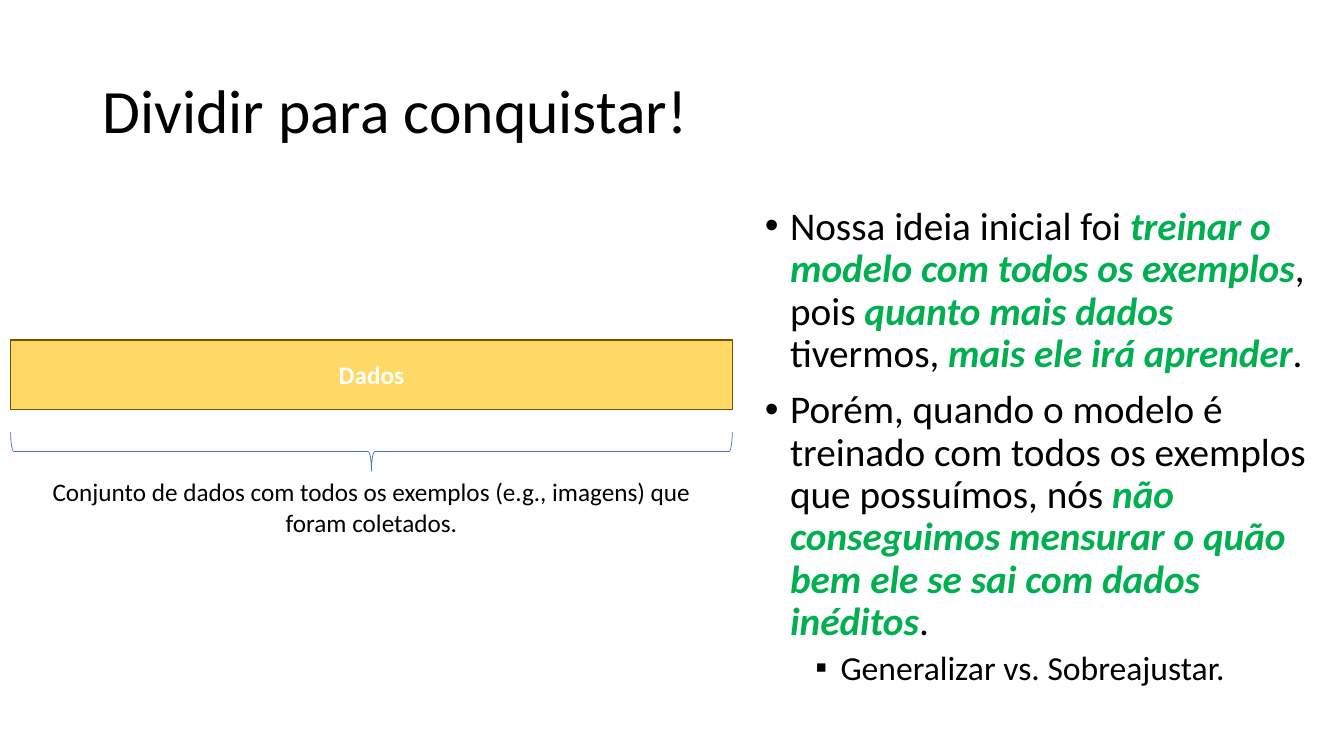
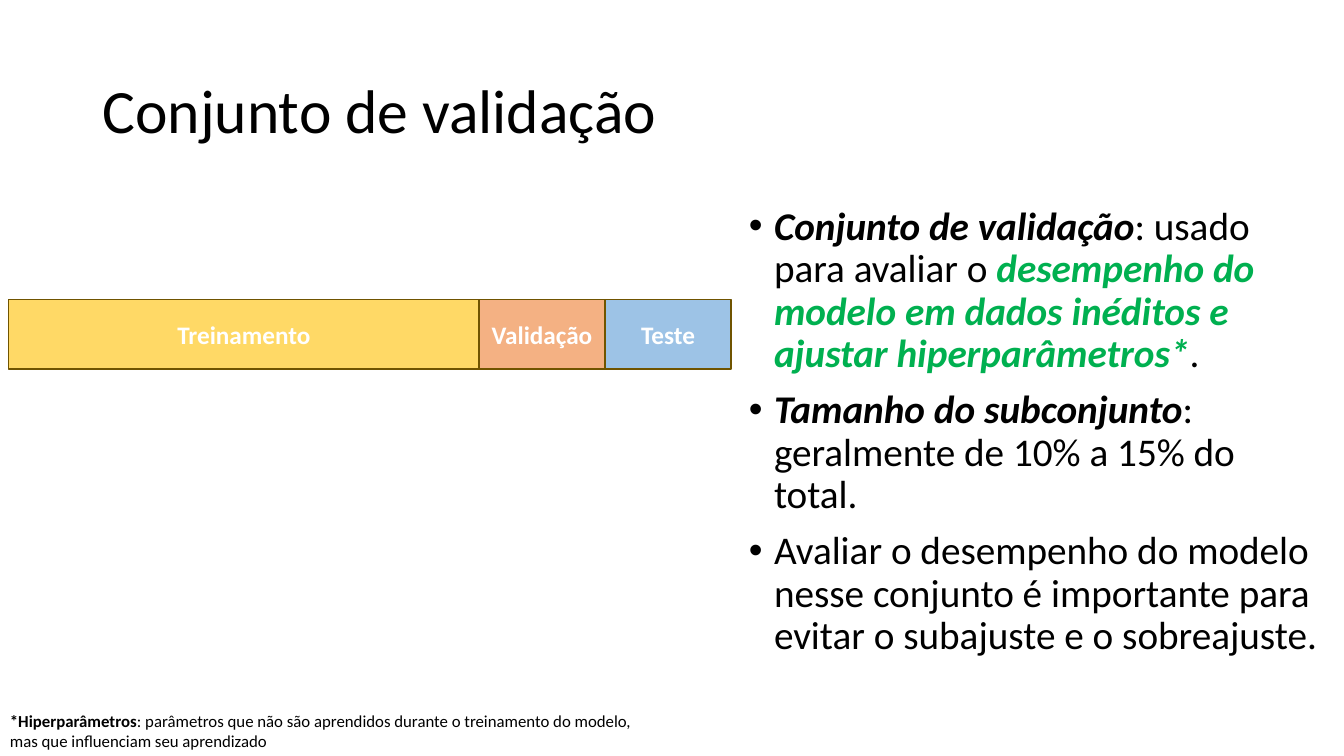
"""Build two slides on splitting a data set for training and validation."""
from lxml.etree import SubElement
from pptx import Presentation
from pptx.dml.color import RGBColor
from pptx.enum.shapes import MSO_SHAPE
from pptx.enum.text import MSO_ANCHOR, MSO_AUTO_SIZE, PP_ALIGN
from pptx.oxml.ns import qn
from pptx.util import Pt

BLACK = RGBColor(0x00, 0x00, 0x00)
WHITE = RGBColor(0xFF, 0xFF, 0xFF)
GREEN = RGBColor(0x00, 0xB0, 0x50)
YELLOW = RGBColor(0xFF, 0xD9, 0x66)
ORANGE = RGBColor(0xF4, 0xB1, 0x83)
SKY = RGBColor(0x9D, 0xC3, 0xE6)
BROWN = RGBColor(0x70, 0x54, 0x00)
BLUE = RGBColor(0x44, 0x72, 0xC4)

PLAIN = {"bold": False, "italic": False}
BOLD = {"bold": True}
STRONG = {"bold": True, "italic": True}
KEY = {"bold": True, "italic": True, "color": GREEN}

LEVELS = [
    {"bullet": "•", "size": 28, "indent": 18, "before": 10},
    {"bullet": "▪", "size": 24, "indent": 54, "before": 5},
]
BAR_H = 49.7

SLIDES = [
    {
        "title": "Dividir para conquistar!",
        "body": (539.3, 406.8),
        "bullets": [
            (0, [("Nossa ideia inicial foi ", PLAIN),
                 ("treinar o modelo com todos os exemplos", KEY),
                 (", pois ", PLAIN), ("quanto mais dados ", KEY),
                 ("tivermos, ", PLAIN), ("mais ele irá aprender", KEY),
                 (".", PLAIN)]),
            (0, [("Porém, quando o modelo é treinado com todos os exemplos "
                  "que possuímos, nós ", PLAIN),
                 ("não conseguimos mensurar o quão bem ele se sai com dados "
                  "inéditos", KEY), (".", PLAIN)]),
            (1, [("Generalizar vs. Sobreajustar.", PLAIN)]),
        ],
        "bar": (7.6, 242.8, [("Dados", 515.5, YELLOW)]),
        "note": (7.6, 337, 515.5, 51, 18, PP_ALIGN.CENTER, [
            ("Conjunto de dados com todos os exemplos (e.g., imagens) que "
             "foram coletados.", PLAIN)]),
        "brace": True,
    },
    {
        "title": "Conjunto de validação",
        "body": (527.8, 424),
        "bullets": [
            (0, [("Conjunto de validação", STRONG),
                 (": usado para avaliar o ", PLAIN),
                 ("desempenho do modelo em dados inéditos e ajustar "
                  "hiperparâmetros*", KEY), (".", PLAIN)]),
            (0, [("Tamanho do subconjunto", STRONG),
                 (": geralmente de 10% a 15% do total.", PLAIN)]),
            (0, [("Avaliar o desempenho do modelo nesse conjunto é importante "
                  "para evitar o subajuste e o sobreajuste.", PLAIN)]),
        ],
        "bar": (6.2, 214, [("Treinamento", 336, YELLOW),
                           ("Validação", 90, ORANGE), ("Teste", 90, SKY)]),
        "note": (0, 504, 480, 36, 12, PP_ALIGN.LEFT, [
            ("*Hiperparâmetros", BOLD),
            (": parâmetros que não são aprendidos durante o treinamento do "
             "modelo, mas que influenciam seu aprendizado", PLAIN)]),
        "brace": False,
    },
]


def add_runs(p, runs, size, color=BLACK):
    for text, style in runs:
        r = p.add_run()
        r.text = text
        r.font.color.rgb = style.get("color", color)
        fmt = {"name": "Calibri", "size": Pt(size), **style}
        fmt.pop("color", None)
        for name, value in fmt.items():
            setattr(r.font, name, value)


def add_box(shapes, x, y, w, h):
    tf = shapes.add_textbox(Pt(x), Pt(y), Pt(w), Pt(h)).text_frame
    tf.word_wrap = True
    return tf


prs = Presentation()
prs.slide_width, prs.slide_height = Pt(960), Pt(540)

for data in SLIDES:
    s = prs.slides.add_slide(prs.slide_layouts[5])
    title = s.shapes.title
    title.left, title.top, title.width, title.height = Pt(66), Pt(28.8), Pt(828), Pt(104.4)
    tf = title.text_frame
    tf.auto_size = MSO_AUTO_SIZE.NONE
    tf.vertical_anchor = MSO_ANCHOR.MIDDLE
    p = tf.paragraphs[0]
    p.alignment, p.line_spacing = PP_ALIGN.LEFT, 0.9
    add_runs(p, [(data["title"], PLAIN)], 44)

    x, w = data["body"]
    tf = add_box(s.shapes, x, 144, w, 396)
    for i, (level, runs) in enumerate(data["bullets"]):
        look = LEVELS[level]
        p = tf.add_paragraph() if i else tf.paragraphs[0]
        p.level, p.line_spacing = level, 0.9
        p.space_before = Pt(look["before"] if i else 0)
        pPr = p._p.get_or_add_pPr()
        pPr.set("marL", str(Pt(look["indent"])))
        pPr.set("indent", str(Pt(-18)))
        SubElement(pPr, qn("a:buFont"), typeface="Arial")
        SubElement(pPr, qn("a:buChar"), char=look["bullet"])
        add_runs(p, runs, look["size"])

    x, y, parts = data["bar"]
    shapes = s.shapes.add_group_shape().shapes if len(parts) > 1 else s.shapes
    for label, w, color in parts:
        sp = shapes.add_shape(MSO_SHAPE.RECTANGLE, Pt(x), Pt(y), Pt(w), Pt(BAR_H))
        sp.shadow.inherit = False
        sp.fill.solid()
        sp.fill.fore_color.rgb = color
        sp.line.color.rgb, sp.line.width = BROWN, Pt(1)
        tf = sp.text_frame
        tf.vertical_anchor = MSO_ANCHOR.MIDDLE
        p = tf.paragraphs[0]
        p.alignment = PP_ALIGN.CENTER
        add_runs(p, [(label, BOLD)], 18, WHITE)
        x += w

    if data["brace"]:
        sp = s.shapes.add_shape(MSO_SHAPE.RIGHT_BRACE, Pt(251.3), Pt(64.8), Pt(28), Pt(515.5))
        sp.rotation = 90
        sp.shadow.inherit = False
        sp.fill.background()
        sp.line.color.rgb, sp.line.width = BLUE, Pt(0.5)

    x, y, w, h, size, align, runs = data["note"]
    p = add_box(s.shapes, x, y, w, h).paragraphs[0]
    p.alignment = align
    add_runs(p, runs, size)

prs.save("out.pptx")
